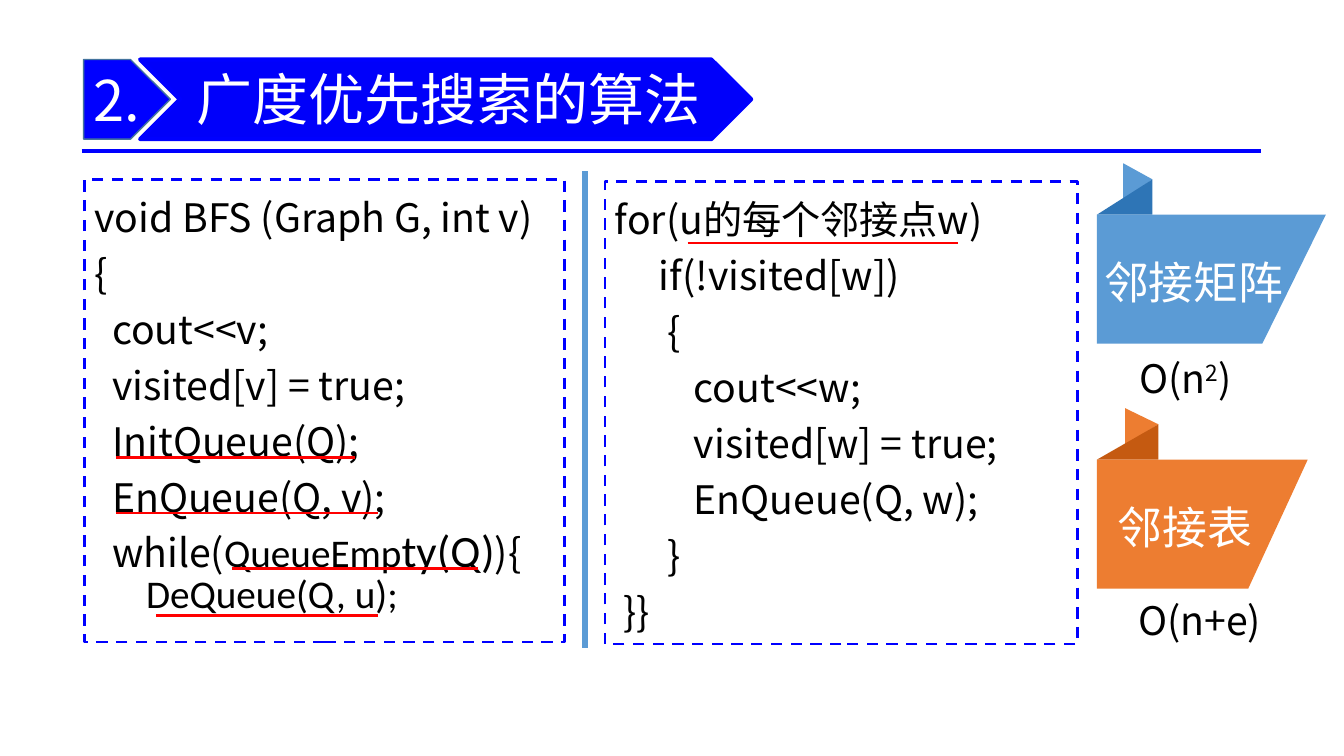
from lxml.etree import SubElement
from pptx import Presentation
from pptx.dml.color import RGBColor
from pptx.enum.dml import MSO_LINE
from pptx.enum.shapes import MSO_CONNECTOR, MSO_SHAPE as Shape
from pptx.enum.text import MSO_ANCHOR as Anchor, MSO_AUTO_SIZE, PP_ALIGN as Align
from pptx.oxml.ns import qn
from pptx.util import Pt

PX = 9144
NOTO = "Noto Sans CJK SC"
LATIN = "Calibri"
BLUE, RED, WHITE, BLACK = "0000FF", "FF0000", "FFFFFF", "000000"
SKY, ORANGE = "5B9BD5", "ED7D31"

SETUP_CODE = [
    "void BFS (Graph G, int v)",
    "{",
    "  cout<<v;",
    "  visited[v] = true;",
    "  InitQueue(Q);",
    "  EnQueue(Q, v);",
    ["  while(", ("QueueEmp", {"font": LATIN}), ("ty(Q)", {"font": LATIN, "size": 32}), "){"],
]
VISIT_CODE = [
    "for(u的每个邻接点w)",
    "     if(!visited[w])",
    "      {",
    "         cout<<w;",
    "         visited[w] = true;",
    "         EnQueue(Q, w);",
    "      }",
    " }}",
]
UNDERLINES = [(115, 352, 454), (115, 375, 509), (155, 375, 611), (230, 474, 564), (682, 950, 241)]


def px(*lengths):
    return [length * PX for length in lengths]


def color(value):
    return RGBColor.from_string(value)


def format_span(span, font=NOTO, size=28, ink=BLACK, raised=0):
    span.font.size = Pt(size)
    span.font.color.rgb = color(ink)
    span.font.name = font
    props = span._r.get_or_add_rPr()
    SubElement(props, qn("a:ea")).set("typeface", font)
    if raised:
        props.set("baseline", str(raised * 1000))


def write(box, lines, anchor=Anchor.TOP, align=Align.LEFT, spacing=None,
          insets=(10, 5, 10, 5), wrap=True, **style):
    frame = box.text_frame
    frame.auto_size = MSO_AUTO_SIZE.NONE
    frame.word_wrap = wrap
    frame.vertical_anchor = anchor
    frame.margin_left, frame.margin_top, frame.margin_right, frame.margin_bottom = px(*insets)
    for index, line in enumerate(lines):
        para = frame.add_paragraph() if index else frame.paragraphs[0]
        para.alignment = align
        if spacing:
            para.line_spacing = spacing
        for part in [line] if isinstance(line, str) else line:
            text, changes = (part, {}) if isinstance(part, str) else part
            span = para.add_run()
            span.text = text
            format_span(span, **{**style, **changes})


def paint(shape, fill, outline=None, width=1):
    shape.shadow.inherit = False
    shape.fill.solid()
    shape.fill.fore_color.rgb = color(fill)
    if outline:
        shape.line.color.rgb = color(outline)
        shape.line.width = Pt(width)
    else:
        shape.line.fill.background()
    return shape


def add_preset(page, kind, place, fill, outline=None, width=1):
    return paint(page.shapes.add_shape(kind, *px(*place)), fill, outline, width)


def add_outline(page, points, fill):
    builder = page.shapes.build_freeform(*points[0], scale=float(PX))
    builder.add_line_segments(points[1:], close=True)
    return paint(builder.convert_to_shape(), fill)


def add_rule(page, start, end, ink, width):
    rule = page.shapes.add_connector(MSO_CONNECTOR.STRAIGHT, *px(*start, *end))
    rule.line.color.rgb = color(ink)
    rule.line.width = Pt(width)
    SubElement(rule._element.spPr, qn("a:effectLst"))


def add_label(page, place, lines, **style):
    write(page.shapes.add_textbox(*px(*place)), lines, **style)


def add_code(page, place, lines):
    panel = add_preset(page, Shape.RECTANGLE, place, WHITE, BLUE, 2)
    panel.line.dash_style = MSO_LINE.DASH
    write(panel, lines, spacing=Pt(40))


def add_ribbon(page, top, width, slant, fold, flap, fill, shade, name, cost, cost_place):
    left, height = 1088, 128
    right, bottom = left + width, top + height
    corner = left + fold
    add_outline(page, [(corner - flap, top - 15), (corner, top - 35), (corner - flap, top - 51)], fill)
    crease = add_preset(page, Shape.RIGHT_TRIANGLE, (left, top - 35, fold, 35), shade)
    crease._element.spPr.xfrm.set("flipH", "1")
    banner = add_outline(
        page, [(left, top), (right, top), (right - slant, bottom), (left, bottom)], fill)
    write(banner, [name], anchor=Anchor.MIDDLE, align=Align.CENTER, spacing=1.1,
          insets=(0, 0, 35, 0), size=32, ink=WHITE)
    add_label(page, cost_place, [cost], insets=(0, 0, 0, 0))


def add_heading(page):
    number = add_preset(page, Shape.PENTAGON, (83, 59, 86, 79), BLUE, "43739E", 1)
    write(number, ["2."], anchor=Anchor.MIDDLE, wrap=False, size=40, ink=WHITE)
    arrow = add_preset(page, Shape.CHEVRON, (139, 59, 606, 79), "0000FA", BLUE, 3)
    title = page.shapes.title
    title.left, title.top, title.width, title.height = px(191, 43, 505, 108)
    write(title, ["广度优先搜索的算法"], anchor=Anchor.MIDDLE, insets=(4, 2, 0, 2),
          size=40, ink=WHITE)
    arrow._element.addnext(title._element)


def main():
    deck = Presentation()
    deck.slide_width, deck.slide_height = px(1333, 750)
    page = deck.slides.add_slide(deck.slide_layouts[5])
    add_rule(page, (81, 150), (1251, 150), BLUE, 3)
    add_code(page, (84, 178, 476, 459), SETUP_CODE)
    add_code(page, (600, 180, 469, 459), VISIT_CODE)
    add_label(page, (135, 560, 295, 57), ["DeQueue(Q, u);"], font=LATIN)
    add_rule(page, (580, 170), (580, 643), SKY, 4)
    add_ribbon(page, 213, 227, 63, 55, 29, SKY, "2E75B6", "邻接矩阵",
               ["O(n", ("2", {"raised": 30}), ")"], (1130, 351, 203, 58))
    add_ribbon(page, 456, 209, 59, 61, 33, ORANGE, "C55A11", "邻接表",
               "O(n+e)", (1129, 592, 166, 69))
    add_heading(page)
    for left, right, level in UNDERLINES:
        add_rule(page, (left, level), (right, level), RED, 2)
    deck.save("out.pptx")


if __name__ == "__main__":
    main()
